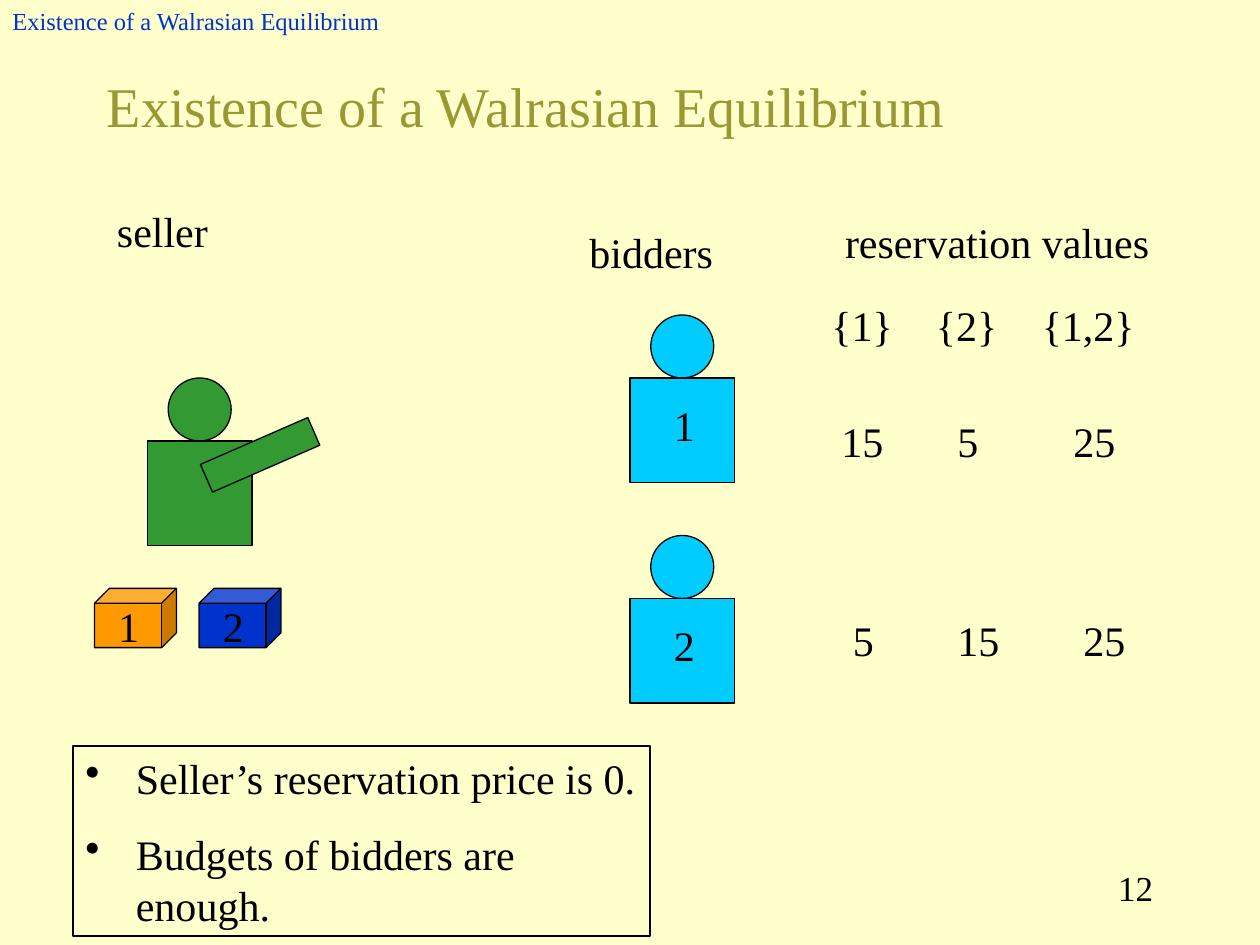
"""Build the slide on the existence of a Walrasian equilibrium."""
from lxml import etree
from pptx import Presentation
from pptx.dml.color import RGBColor
from pptx.enum.shapes import MSO_SHAPE
from pptx.enum.text import MSO_ANCHOR, PP_ALIGN
from pptx.oxml.ns import qn
from pptx.util import Inches, Pt

RECT, OVAL, CUBE = MSO_SHAPE.RECTANGLE, MSO_SHAPE.OVAL, MSO_SHAPE.CUBE
LEFT, MID, RIGHT = PP_ALIGN.LEFT, PP_ALIGN.CENTER, PP_ALIGN.RIGHT
TOP, CENTER = MSO_ANCHOR.TOP, MSO_ANCHOR.MIDDLE
FONT = "Times New Roman"
BLACK, GREEN, CYAN, BLUE = "000000", "339933", "00CCFF", "0033CC"

TITLE = "Existence of a Walrasian Equilibrium"
LABELS = [
    ("seller", 0.83, 1.58, 2.04, LEFT),
    ("bidders", 4.58, 1.75, 1.34, LEFT),
    ("reservation values", 6.5, 1.67, 2.83, MID),
]
GOODS = [("1", 0.75, "FF9900"), ("2", 1.58, BLUE)]
BIDDERS = [("1", 2.5), ("2", 4.25)]
VALUES = [
    (2.33, [("{1}", 6.5), ("{2}", 7.33), ("{1,2}", 8.17)]),
    (3.25, [("15", 6.58), ("5", 7.5), ("25", 8.42)]),
    (4.83, [("5", 6.67), ("15", 7.5), ("25", 8.5)]),
]
NOTES = ["Seller’s reservation price is 0.", "Budgets of bidders are enough."]
HEAD, BODY, ROW, HANG = 0.5, 0.83, 0.5, 0.4


def color(code):
    return RGBColor.from_string(code)


def style(para, size, code):
    para.font.name = FONT
    para.font.size = Pt(size)
    para.font.color.rgb = color(code)


def write(home, text, x, y, w, h=ROW, size=24, code=BLACK, align=LEFT, anchor=TOP):
    frame = home.add_textbox(*map(Inches, (x, y, w, h))).text_frame
    frame.word_wrap = True
    frame.vertical_anchor = anchor
    para = frame.paragraphs[0]
    para.text = text
    para.alignment = align
    style(para, size, code)


def draw(home, kind, x, y, w, h, fill=None):
    shape = home.add_shape(kind, *map(Inches, (x, y, w, h)))
    shape.shadow.inherit = False
    if fill:
        shape.fill.solid()
        shape.fill.fore_color.rgb = color(fill)
    else:
        shape.fill.background()
    shape.line.color.rgb = color(BLACK)
    shape.line.width = Pt(0.75)
    return shape


def person(home, x, y, fill):
    draw(home, OVAL, x + (BODY - HEAD) / 2, y, HEAD, HEAD, fill)
    draw(home, RECT, x, y + HEAD, BODY, BODY, fill)


def bullet(para):
    props = para._p.get_or_add_pPr()
    props.set("marL", str(Inches(HANG)))
    props.set("indent", str(-Inches(HANG)))
    tint = etree.SubElement(props, qn("a:buClr"))
    etree.SubElement(tint, qn("a:srgbClr"), val=BLACK)
    etree.SubElement(props, qn("a:buChar"), char="•")


def main():
    deck = Presentation()
    deck.slide_width, deck.slide_height = Inches(10), Inches(7.5)
    slide = deck.slides.add_slide(deck.slide_layouts[6])
    slide.background.fill.solid()
    slide.background.fill.fore_color.rgb = color("FFFFCC")
    board = slide.shapes

    write(board, TITLE, 0.75, 0.42, 8.5, 0.83, 32, "999933", anchor=CENTER)
    for text, x, y, w, align in LABELS:
        write(board, text, x, y, w, align=align)

    for name, x, fill in GOODS:
        good = board.add_group_shape().shapes
        draw(good, CUBE, x, 4.67, 0.65, 0.47, fill)
        write(good, name, x + 0.09, 4.72, 0.34)

    seller = board.add_group_shape().shapes
    person(seller, 1.17, 3, GREEN)
    draw(seller, RECT, 1.6, 3.49, 0.93, 0.24, GREEN).rotation = 336.4

    for name, y in BIDDERS:
        bidder = board.add_group_shape().shapes
        person(bidder, 5, y, CYAN)
        write(bidder, name, 5.25, y + 0.62, 0.41)

    for y, row in VALUES:
        for text, x in row:
            write(board, text, x, y, 1.08 if "," in text else 0.75)

    frame = draw(board, RECT, 0.58, 5.92, 4.58, 1.51).text_frame
    frame.word_wrap = True
    frame.vertical_anchor = TOP
    for i, note in enumerate(NOTES):
        para = frame.add_paragraph() if i else frame.paragraphs[0]
        para.text = note
        bullet(para)
        para.alignment = LEFT
        para.space_before = Pt(15 if i else 0)
        style(para, 24, BLACK)

    write(board, TITLE, 0, 0, 3.58, 0.33, 14, BLUE, anchor=CENTER)
    write(board, "12", 7.17, 6.83, 2.08, size=20, align=RIGHT)
    deck.save("out.pptx")


if __name__ == "__main__":
    main()
